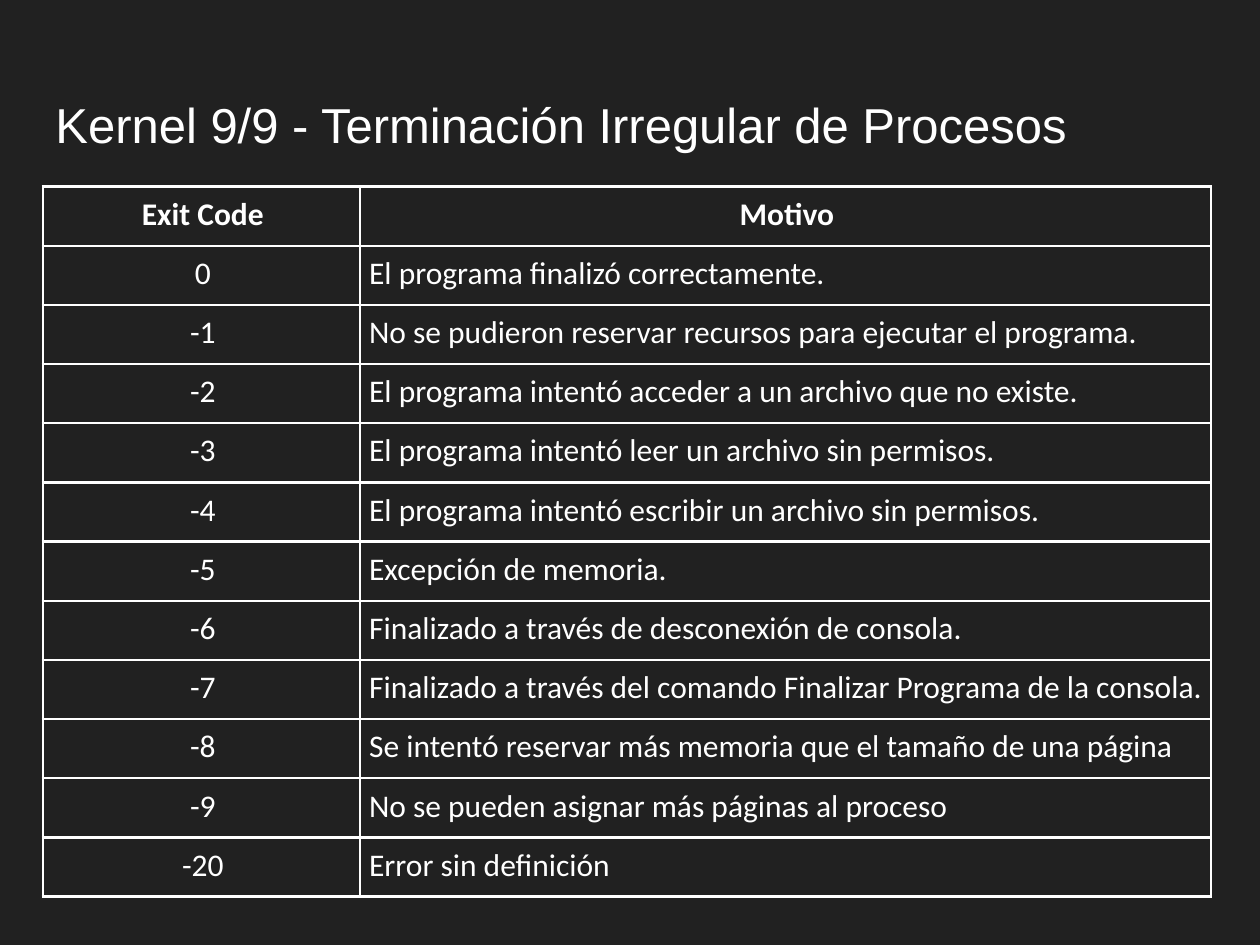
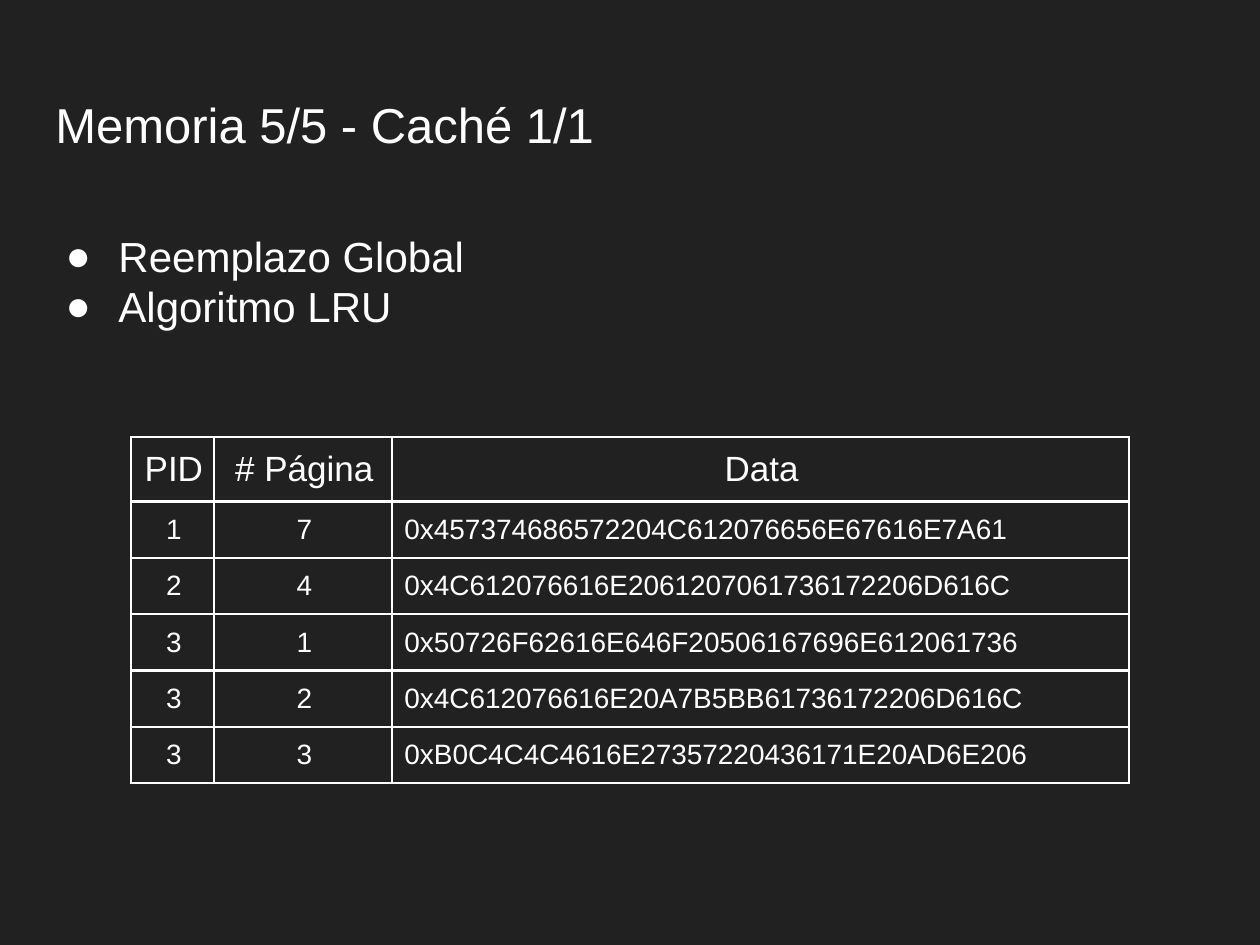
from lxml.etree import SubElement
from pptx import Presentation
from pptx.dml.color import RGBColor
from pptx.enum.text import MSO_ANCHOR, MSO_AUTO_SIZE, PP_ALIGN
from pptx.oxml.ns import qn
from pptx.util import Inches, Pt

BACKGROUND = "212121"
WHITE = "FFFFFF"
TITLE_ONLY, TITLE_AND_BODY = 5, 1
FRAME_LEFT, FRAME_WIDTH = 0.34, 9.32
WRAP_SLACK = 0.02  # taken off the right cell margin so tight text stays on one line

EXIT_TITLE = "Kernel 9/9 - Terminación Irregular de Procesos"
EXIT_CODES = [
    ("Exit Code", "Motivo"),
    ("0", "El programa finalizó correctamente."),
    ("-1", "No se pudieron reservar recursos para ejecutar el programa."),
    ("-2", "El programa intentó acceder a un archivo que no existe."),
    ("-3", "El programa intentó leer un archivo sin permisos."),
    ("-4", "El programa intentó escribir un archivo sin permisos."),
    ("-5", "Excepción de memoria."),
    ("-6", "Finalizado a través de desconexión de consola."),
    ("-7", "Finalizado a través del comando Finalizar Programa de la consola."),
    ("-8", "Se intentó reservar más memoria que el tamaño de una página"),
    ("-9", "No se pueden asignar más páginas al proceso"),
    ("-20", "Error sin definición"),
]
EXIT_STYLE = dict(left=0.34, top=1.48, widths=(2.52, 6.75), row_height=0.47,
                  margin=0.07, font="Calibri", header_size=18, size=18,
                  bold_header=True)

CACHE_TITLE = "Memoria 5/5 - Caché 1/1"
CACHE_POINTS = ["Reemplazo Global", "Algoritmo LRU"]
CACHE_ENTRIES = [
    ("PID", "# Página", "Data"),
    ("1", "7", "0x457374686572204C612076656E67616E7A61"),
    ("2", "4", "0x4C612076616E2061207061736172206D616C"),
    ("3", "1", "0x50726F62616E646F20506167696E612061736"),
    ("3", "2", "0x4C612076616E20A7B5BB61736172206D616C"),
    ("3", "3", "0xB0C4C4C4616E27357220436171E20AD6E206"),
]
CACHE_STYLE = dict(left=1.04, top=3.47, widths=(0.66, 1.41, 5.85), row_height=0.42,
                   margin=0.1, font="Arial", header_size=20, size=16,
                   bold_header=False)


def colour(value):
    return RGBColor.from_string(value)


def add_span(para, text, size, font="Arial", bold=False):
    span = para.add_run()
    span.text = text
    span.font.size = Pt(size)
    span.font.name = font
    span.font.bold = bold
    span.font.color.rgb = colour(WHITE)


def set_margins(target, margin):
    target.margin_left = target.margin_right = Inches(margin)
    target.margin_top = target.margin_bottom = Inches(margin)


def place_frame(box, top, height):
    """Put a placeholder on the shared column and return its text frame."""
    box.left, box.top = Inches(FRAME_LEFT), Inches(top)
    box.width, box.height = Inches(FRAME_WIDTH), Inches(height)
    frame = box.text_frame
    frame.word_wrap = True
    frame.auto_size = MSO_AUTO_SIZE.NONE
    frame.vertical_anchor = MSO_ANCHOR.TOP
    set_margins(frame, 0.1)
    return frame


def add_titled_slide(deck, layout, title):
    slide = deck.slides.add_slide(deck.slide_layouts[layout])
    para = place_frame(slide.shapes.title, 0.65, 0.83).paragraphs[0]
    para.alignment = PP_ALIGN.LEFT
    add_span(para, title, 28)
    return slide


def fill_bullets(box, points):
    frame = place_frame(box, 1.73, 1.5)
    for index, point in enumerate(points):
        para = frame.add_paragraph() if index else frame.paragraphs[0]
        para.space_before = Pt(0)
        properties = para._p.get_or_add_pPr()
        properties.set("marL", str(Inches(0.5)))
        properties.set("indent", str(Inches(-0.42)))
        bullet_colour = SubElement(properties, qn("a:buClr"))
        SubElement(bullet_colour, qn("a:srgbClr"), val=WHITE)
        SubElement(properties, qn("a:buFont"), typeface="Arial")
        SubElement(properties, qn("a:buChar"), char="●")
        add_span(para, point, 24)


def add_borders(cell):
    properties = cell._tc.get_or_add_tcPr()
    for index, side in enumerate(("lnL", "lnR", "lnT", "lnB")):
        line = properties.makeelement(qn(f"a:{side}"), {"w": str(Pt(1.5))})
        fill = SubElement(line, qn("a:solidFill"))
        SubElement(fill, qn("a:srgbClr"), val=WHITE)
        properties.insert(index, line)


def add_grid(slide, rows, left, top, widths, row_height, margin, font,
             header_size, size, bold_header):
    """Add a bordered table: centred header and keys, last column left-aligned."""
    table = slide.shapes.add_table(
        len(rows), len(widths), Inches(left), Inches(top),
        Inches(sum(widths)), Inches(row_height * len(rows))).table
    table.first_row = table.horz_banding = False
    for column, width in zip(table.columns, widths):
        column.width = Inches(width)
    for row_index, row in enumerate(rows):
        table.rows[row_index].height = Inches(row_height)
        header = row_index == 0
        for column_index, text in enumerate(row):
            cell = table.cell(row_index, column_index)
            set_margins(cell, margin)
            cell.margin_right = Inches(margin - WRAP_SLACK)
            cell.fill.background()
            add_borders(cell)
            para = cell.text_frame.paragraphs[0]
            centred = header or column_index < len(row) - 1
            para.alignment = PP_ALIGN.CENTER if centred else PP_ALIGN.LEFT
            add_span(para, text, header_size if header else size, font,
                     header and bold_header)


def main():
    deck = Presentation()
    deck.slide_width, deck.slide_height = Inches(10), Inches(7.5)
    background = deck.slide_master.background.fill
    background.solid()
    background.fore_color.rgb = colour(BACKGROUND)

    exit_slide = add_titled_slide(deck, TITLE_ONLY, EXIT_TITLE)
    add_grid(exit_slide, EXIT_CODES, **EXIT_STYLE)

    cache_slide = add_titled_slide(deck, TITLE_AND_BODY, CACHE_TITLE)
    fill_bullets(cache_slide.placeholders[1], CACHE_POINTS)
    add_grid(cache_slide, CACHE_ENTRIES, **CACHE_STYLE)

    deck.save("out.pptx")


if __name__ == "__main__":
    main()
